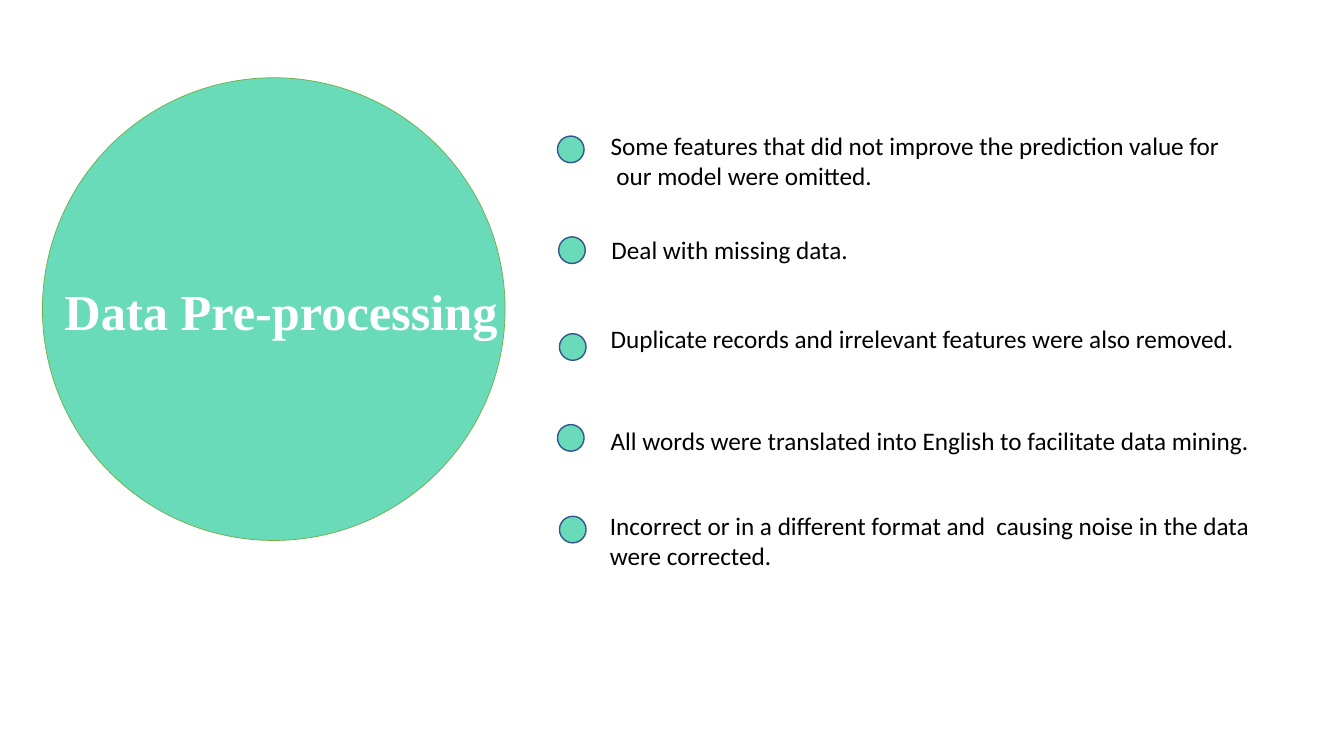
"""Build the Data Pre-processing slide: a titled disc beside five dotted steps."""
from pptx import Presentation
from pptx.dml.color import RGBColor
from pptx.enum.shapes import MSO_SHAPE
from pptx.enum.text import MSO_ANCHOR, MSO_AUTO_SIZE, PP_ALIGN
from pptx.util import Cm, Pt

OVAL = MSO_SHAPE.OVAL
TOP = MSO_ANCHOR.TOP
GROW = MSO_AUTO_SIZE.SHAPE_TO_FIT_TEXT
LEFT = PP_ALIGN.LEFT

HEADING = "Data Pre-processing"
STEPS = [
    {"lines": ["Some features that did not improve the prediction value for",
               " our model were omitted."],
     "box": (15.14, 3.15, 16.05, 1.8), "wrap": False, "dot": (14.05, 3.43)},
    {"lines": ["Deal with missing data."],
     "box": (15.16, 5.79, 6.68, 1.02), "wrap": False, "dot": (14.08, 5.97)},
    {"lines": ["Duplicate records and irrelevant features were also removed."],
     "box": (15.14, 8.03, 16.94, 1.8), "wrap": True, "dot": (14.1, 8.41)},
    {"lines": ["All words were translated into English to facilitate data mining."],
     "box": (15.14, 10.59, 16.92, 1.02), "wrap": False, "dot": (14.05, 10.7)},
    {"lines": ["Incorrect or in a different format and  causing noise in the data",
               "were corrected."],
     "box": (15.12, 12.73, 16.94, 1.8), "wrap": True, "dot": (14.1, 13.01)},
]
DISC_BOX = (1.07, 1.96, 11.66, 11.66)
HEADING_BOX = (1.37, 6.93, 11.56, 1.8)
DOT_SIZE = 0.67

THEME = {
    "mint": RGBColor.from_string("69DBB9"),
    "disc_line": (RGBColor.from_string("70AD47"), Pt(0.5)),
    "dot_line": (RGBColor.from_string("325491"), Pt(1)),
    "heading": {"name": "Times New Roman", "size": Pt(36), "bold": True},
    "heading_color": RGBColor.from_string("FFFFFF"),
    "step": {"name": "Calibri", "size": Pt(18), "bold": False},
    "step_color": RGBColor.from_string("000000"),
}


def apply(target, values):
    """Set each named attribute on the target."""
    for name, value in values.items():
        setattr(target, name, value)


def add_circle(slide, box, outline):
    """Add a mint circle with the given outline."""
    circle = slide.shapes.add_shape(OVAL, *map(Cm, box))
    circle.shadow.inherit = False
    circle.fill.solid()
    circle.fill.fore_color.rgb = THEME["mint"]
    circle.line.color.rgb, circle.line.width = outline
    return circle


def write(holder, lines, style, wrap):
    """Fill a text holder with one paragraph per line."""
    frame = holder.text_frame
    frame.text = "\n".join(lines)
    apply(frame, {"word_wrap": wrap, "auto_size": GROW, "vertical_anchor": TOP})
    for paragraph in frame.paragraphs:
        paragraph.alignment = LEFT
        apply(paragraph.font, THEME[style])
        paragraph.font.color.rgb = THEME[f"{style}_color"]


def main():
    """Compose and save the slide."""
    deck = Presentation()
    apply(deck, {"slide_width": Cm(33.87), "slide_height": Cm(19.05)})
    slide = deck.slides.add_slide(deck.slide_layouts[5])

    heading = slide.shapes.title
    apply(heading, dict(zip(("left", "top", "width", "height"), map(Cm, HEADING_BOX))))
    write(heading, [HEADING], "heading", False)
    disc = add_circle(slide, DISC_BOX, THEME["disc_line"])
    heading._element.addprevious(disc._element)

    for step in STEPS:
        add_circle(slide, (*step["dot"], DOT_SIZE, DOT_SIZE), THEME["dot_line"])
        label = slide.shapes.add_textbox(*map(Cm, step["box"]))
        write(label, step["lines"], "step", step["wrap"])

    deck.save("out.pptx")


if __name__ == "__main__":
    main()
